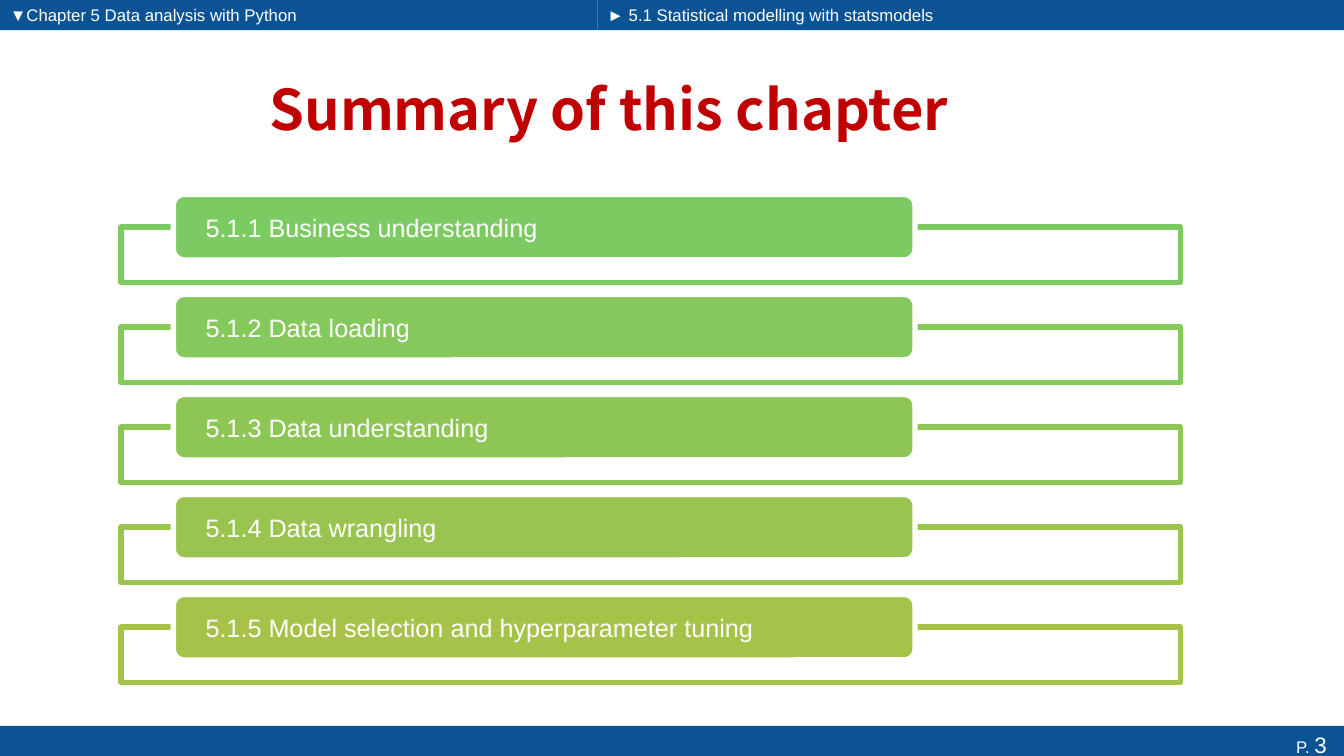
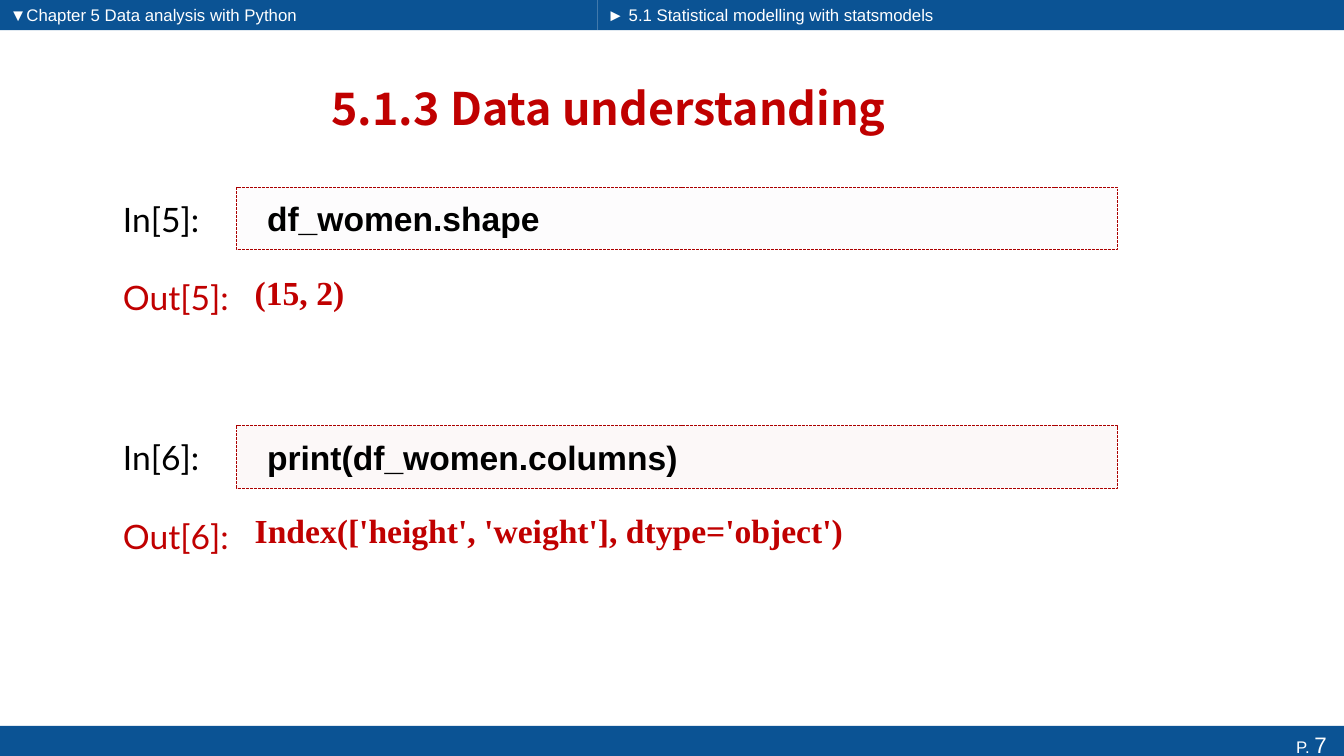
from lxml import etree
from pptx import Presentation
from pptx.dml.color import RGBColor
from pptx.enum.dml import MSO_LINE
from pptx.enum.shapes import MSO_SHAPE
from pptx.enum.text import MSO_ANCHOR, PP_ALIGN
from pptx.oxml.ns import qn
from pptx.util import Cm, Pt

RECT, ROUNDED = MSO_SHAPE.RECTANGLE, MSO_SHAPE.ROUNDED_RECTANGLE
TOP, MIDDLE = MSO_ANCHOR.TOP, MSO_ANCHOR.MIDDLE
LEFT, CENTER, RIGHT = PP_ALIGN.LEFT, PP_ALIGN.CENTER, PP_ALIGN.RIGHT
SYS_DASH = MSO_LINE.SQUARE_DOT

WIDTH, HEIGHT = 33.87, 19.05
BAND_HEIGHT = 0.76
SPLIT = 15.06
CHAPTER = "▼Chapter 5 Data analysis with Python"
SECTION = "► 5.1 Statistical modelling with statsmodels"


def rgb(color):
    return RGBColor.from_string(color)


class Deck:
    """Holds the shared style and the slide being built; lengths are in cm."""

    BLUE, RED, DARK_RED = "0B5394", "C00000", "AB0000"
    WHITE, BLACK = "FFFFFF", "000000"
    TITLE_FONT, BODY_FONT = "Noto Sans CJK SC", "Arial"
    LABEL_FONT, OUTPUT_FONT = "Lato", "Times New Roman"

    def __init__(self):
        self.prs = Presentation()
        self.prs.slide_width, self.prs.slide_height = Cm(WIDTH), Cm(HEIGHT)
        self.s = None

    def slide(self, title, title_size, page):
        self.s = self.prs.slides.add_slide(self.prs.slide_layouts[5])
        self.band(0, 0, SPLIT, CHAPTER)
        self.band(SPLIT, 0, WIDTH - SPLIT, SECTION)
        self.footer(page)
        sp = self.s.shapes.title
        sp.left, sp.top, sp.width, sp.height = Cm(1.73), Cm(1.57), Cm(27.23), Cm(2.29)
        self.set_text(sp, title, title_size, self.RED, self.TITLE_FONT, True, CENTER)

    def set_text(self, sp, text, size, color, font=BODY_FONT, bold=False,
                 align=LEFT, anchor=MIDDLE, inset=0.25):
        tf = sp.text_frame
        tf.word_wrap = True
        tf.vertical_anchor = anchor
        tf.margin_left = Cm(inset)
        p = tf.paragraphs[0]
        p.text = text
        p.alignment = align
        p.font.name, p.font.size, p.font.bold = font, Pt(size), bold
        p.font.color.rgb = rgb(color)
        return p

    def box(self, kind, x, y, w, h, fill, line=None, line_width=1):
        sp = self.s.shapes.add_shape(kind, Cm(x), Cm(y), Cm(w), Cm(h))
        sp.shadow.inherit = False
        sp.fill.solid()
        sp.fill.fore_color.rgb = rgb(fill)
        if line:
            sp.line.color.rgb = rgb(line)
            sp.line.width = Pt(line_width)
        else:
            sp.line.fill.background()
        return sp

    def band(self, x, y, w, text):
        sp = self.box(RECT, x, y, w, BAND_HEIGHT, self.BLUE)
        self.set_text(sp, text, 12, self.WHITE)
        return sp

    def footer(self, page):
        sp = self.band(0, HEIGHT - BAND_HEIGHT, WIDTH, "")
        p = self.set_text(sp, "P. ", 12, self.WHITE, align=RIGHT, anchor=TOP)
        sp.text_frame.margin_right = Cm(0.43)
        r = p.add_run()
        r.text = str(page)
        r.font.size = Pt(16)

    def text(self, x, y, w, h, text, color, font, **style):
        sp = self.s.shapes.add_textbox(Cm(x), Cm(y), Cm(w), Cm(h))
        self.set_text(sp, text, 24, color, font, **style)

    def topic(self, y, text, color):
        """Draws an outlined frame with a filled label over its top edge."""
        self.box(RECT, 3.05, y + 0.82, 26.7, 1.4, self.WHITE, color, 3.78)
        sp = self.box(ROUNDED, 4.37, y, 18.69, 1.65, color, self.WHITE, 3.78)
        self.set_text(sp, text, 18, self.WHITE, inset=0.73)

    def code(self, y, text, fill):
        sp = self.box(RECT, 5.97, y, 22.2, 1.57, fill, self.DARK_RED, 0.7)
        sp.line.dash_style = SYS_DASH
        tint = sp.element.spPr.find(qn("a:solidFill"))[0]
        etree.SubElement(tint, qn("a:alpha"), val="13000")
        self.set_text(sp, text, 24, self.BLACK, bold=True, inset=0.76)

    def cell(self, y, number, source, output, fill):
        """Draws one numbered notebook input with its output."""
        self.text(2.85, y + 0.16, 2.82, 1.27, f"In[{number}]:",
                  self.BLACK, self.LABEL_FONT)
        self.code(y, source, fill)
        self.text(5.66, y + 1.81, 22.2, 1.65, output,
                  self.RED, self.OUTPUT_FONT, bold=True, inset=0.76)
        self.text(2.85, y + 2.14, 3.43, 1.27, f"Out[{number}]:",
                  self.RED, self.LABEL_FONT)


def main():
    deck = Deck()

    deck.slide("Summary of this chapter", 40, 3)
    topics = [
        ("Business understanding", "7CCA62"),
        ("Data loading", "85C85C"),
        ("Data understanding", "8EC656"),
        ("Data wrangling", "99C44F"),
        ("Model selection and hyperparameter tuning", "A5C249"),
    ]
    for i, (name, color) in enumerate(topics):
        deck.topic(4.9 + 2.52 * i, f"5.1.{i + 1} {name}", color)

    deck.slide("5.1.3 Data understanding", 32, 7)
    cells = [
        ("df_women.shape", "(15, 2)", "F1EEF4"),
        ("print(df_women.columns)",
         "Index(['height', 'weight'], dtype='object')", "EDCDCB"),
    ]
    for i, (source, output, fill) in enumerate(cells):
        deck.cell(4.72 + 6.01 * i, 5 + i, source, output, fill)

    deck.prs.save("out.pptx")


if __name__ == "__main__":
    main()
